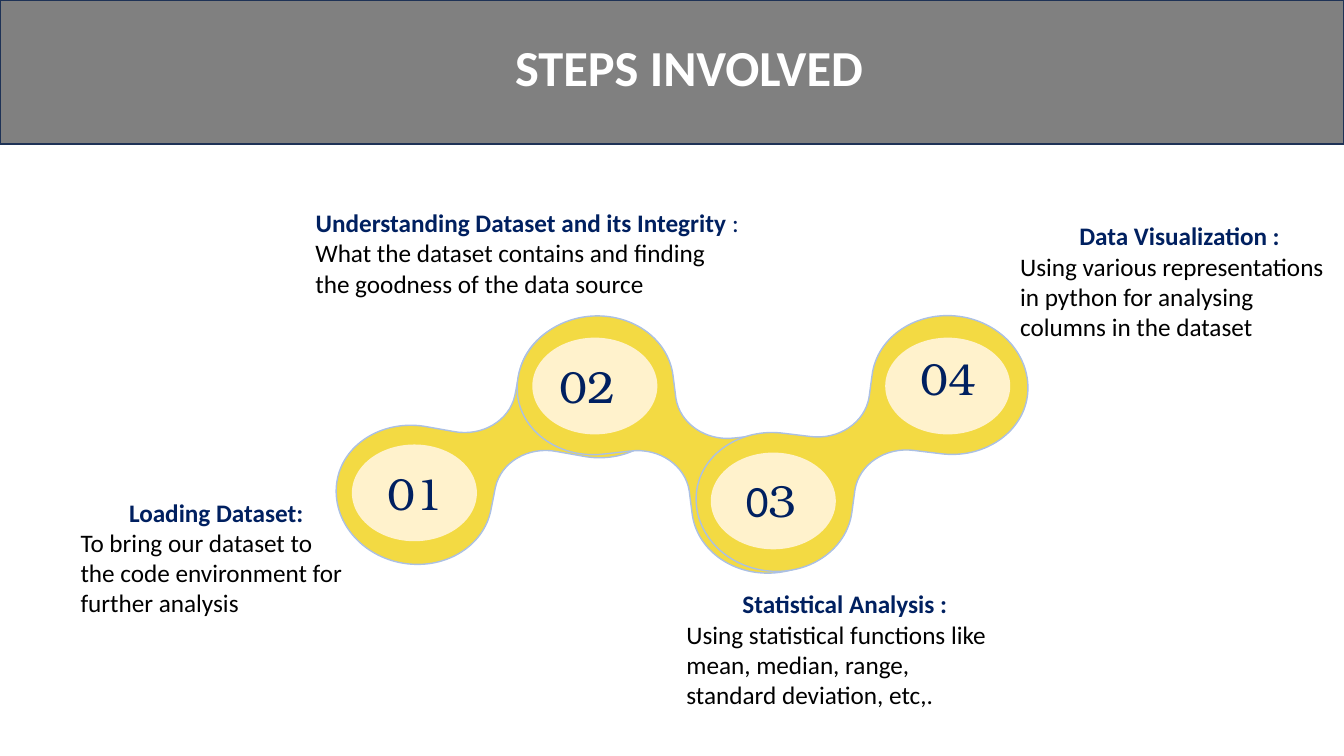
from dataclasses import dataclass
from math import cos, radians, sin

from pptx import Presentation
from pptx.dml.color import RGBColor
from pptx.enum.shapes import MSO_SHAPE as Kind
from pptx.enum.text import MSO_AUTO_SIZE as Fit, PP_ALIGN as Align
from pptx.oxml.ns import qn
from pptx.util import Pt

PX = 9144
NAVY = RGBColor(0x00, 0x20, 0x60)
BLACK = RGBColor(0x00, 0x00, 0x00)
WHITE = RGBColor(0xFF, 0xFF, 0xFF)
GRAY = RGBColor(0x80, 0x80, 0x80)
EDGE = RGBColor(0x1E, 0x32, 0x56)
GOLD = RGBColor(0xF3, 0xDA, 0x43)
CREAM = RGBColor(0xFF, 0xF2, 0xCC)
RIM = RGBColor(0xAB, 0xC0, 0xE4)
SANS = "Calibri"
SERIF = "TeX Gyre Bonum"

HALF = [
    (139, -120), (169, -85), (164, -47),
    (159, -10), (120, 16), (77, 10),
    (52, 7),
    (23, 3), (-3, 21), (-7, 46),
    (-10, 68),
    (-15, 106), (-54, 132), (-97, 126),
]
CURVES = "CCLCLC" * 2


@dataclass
class Link:
    x: int
    y: int
    turn: float
    flip: int


@dataclass
class Run:
    text: str
    size: int
    color: RGBColor
    font: str = SANS
    bold: bool = False


@dataclass
class Step:
    oval: tuple[int, int]
    spot: tuple[int, int]
    digits: list[Run]
    box: tuple[int, int, int, int]
    head: list[Run]
    body: str


def digit(text: str, font: str = SERIF) -> Run:
    return Run(text, 32, NAVY, font)


def label(text: str, bold: bool = True) -> Run:
    return Run(text, 18, NAVY, bold=bold)


LINKS = [Link(501, 438, 3.3, 1), Link(677, 441, 0.5, -1), Link(855, 440, 0, 1)]
STEPS = [
    Step((349, 441), (375, 457), [digit("01")], (70, 488, 289, 131),
         [label("Loading Dataset:")],
         "To bring our dataset to the code environment for further analysis"),
    Step((528, 335), (545, 351), [digit("02")], (303, 201, 440, 101),
         [label("Understanding Dataset and its Integrity "), label(":", False)],
         "What the dataset contains and finding the goodness of the data source"),
    Step((705, 449), (730, 464), [digit("0", SANS), digit("3")],
         (671, 579, 334, 131), [label("Statistical Analysis :")],
         "Using statistical functions like mean, median, range, "
         "standard deviation, etc,."),
    Step((878, 335), (903, 343), [digit("04")], (1002, 214, 336, 131),
         [label("Data Visualization :")],
         "Using various representations in python for analysing "
         "columns in the dataset"),
]


def paint(shape, fill: RGBColor, line: RGBColor | None = None) -> None:
    shape.shadow.inherit = False
    shape.fill.solid()
    shape.fill.fore_color.rgb = fill
    if line is None:
        shape.line.fill.background()
    else:
        shape.line.color.rgb = line
        shape.line.width = Pt(1)


def form(shapes, kind: Kind, box: tuple[int, int, int, int],
         fill: RGBColor, line: RGBColor | None = None) -> None:
    paint(shapes.add_shape(kind, *(v * PX for v in box)), fill, line)


def write(shapes, box: tuple[int, int, int, int],
          paras: list[tuple[Align, list[Run]]]) -> None:
    frame = shapes.add_textbox(*(v * PX for v in box)).text_frame
    frame.word_wrap = True
    frame.auto_size = Fit.SHAPE_TO_FIT_TEXT
    for i, (align, runs) in enumerate(paras):
        para = frame.add_paragraph() if i else frame.paragraphs[0]
        para.alignment = align
        for item in runs:
            run = para.add_run()
            run.text = item.text
            run.font.name = item.font
            run.font.size = Pt(item.size)
            run.font.bold = item.bold
            run.font.color.rgb = item.color


def join(shapes, link: Link) -> None:
    c, s = cos(radians(link.turn)), sin(radians(link.turn))

    def place(x: int, y: int) -> tuple[int, int]:
        x *= link.flip
        return (round((link.x + x * c - y * s) * PX),
                round((link.y + x * s + y * c) * PX))

    ring = HALF + [(-x, -y) for x, y in HALF]
    pen = shapes.build_freeform(*place(*ring[-1]))
    pen.add_line_segments([place(*p) for p in ring], close=True)
    shape = pen.convert_to_shape()
    path = shape.element.find(".//" + qn("a:path"))
    lines = iter(path.findall(qn("a:lnTo")))
    for mark in CURVES:
        first = next(lines)
        if mark == "C":
            first.tag = qn("a:cubicBezTo")
            for _ in range(2):
                extra = next(lines)
                first.append(extra[0])
                path.remove(extra)
    paint(shape, GOLD, RIM)


def main() -> None:
    deck = Presentation()
    deck.slide_width, deck.slide_height = 1333 * PX, 750 * PX
    shapes = deck.slides.add_slide(deck.slide_layouts[6]).shapes
    for link in LINKS:
        join(shapes, link)
    for step in STEPS:
        form(shapes, Kind.OVAL, (*step.oval, 124, 96), CREAM)
        write(shapes, (*step.spot, 93, 64), [(Align.LEFT, step.digits)])
    form(shapes, Kind.RECTANGLE, (0, 0, 1333, 143), GRAY, EDGE)
    title = Run("STEPS INVOLVED", 36, WHITE, bold=True)
    write(shapes, (501, 31, 691, 71), [(Align.LEFT, [title])])
    for step in STEPS:
        body = Run(step.body, 18, BLACK)
        write(shapes, step.box,
              [(Align.CENTER, step.head), (Align.LEFT, [body])])
    deck.save("out.pptx")


if __name__ == "__main__":
    main()
